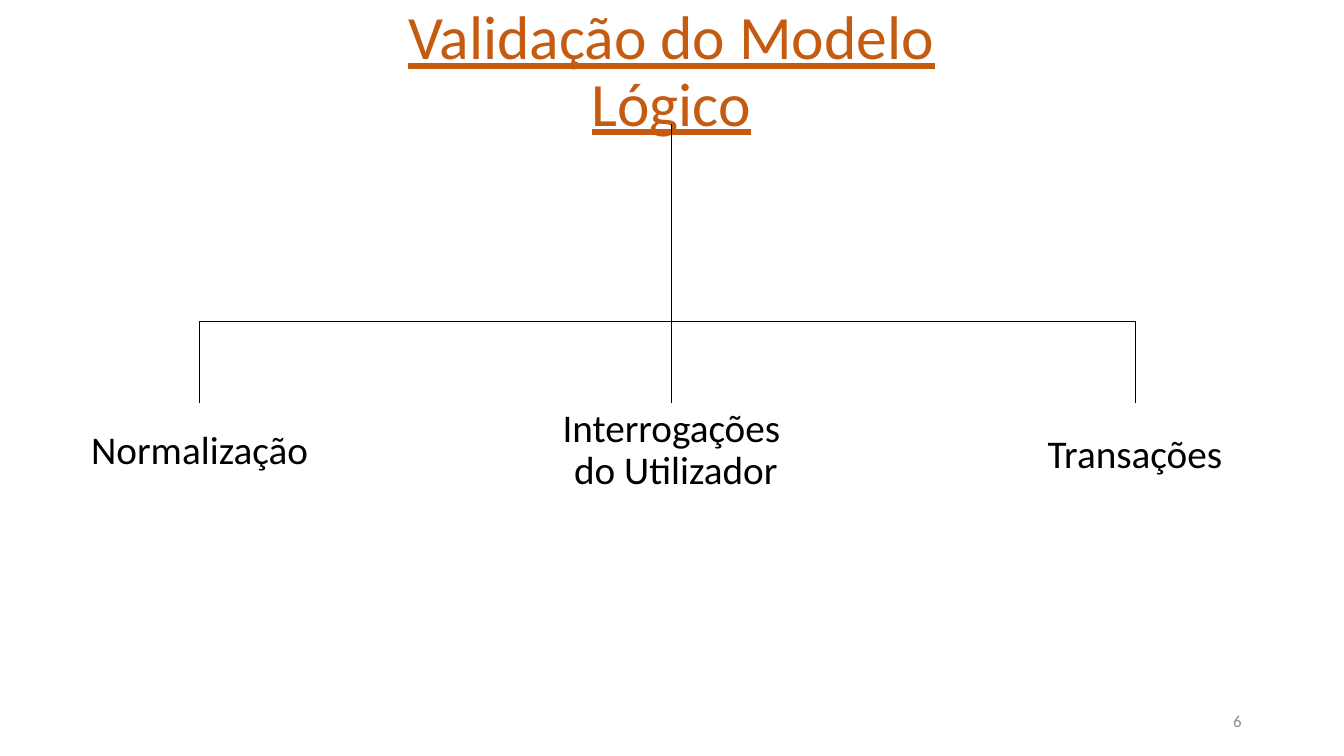
from lxml.etree import SubElement
from pptx import Presentation
from pptx.dml.color import RGBColor
from pptx.enum.shapes import MSO_CONNECTOR
from pptx.enum.text import MSO_ANCHOR, MSO_AUTO_SIZE, PP_ALIGN
from pptx.oxml.ns import qn
from pptx.util import Cm, Pt

ORANGE = RGBColor(0xC5, 0x5A, 0x11)
BLACK = RGBColor(0x00, 0x00, 0x00)
GREY = RGBColor(0x8C, 0x8C, 0x8C)
FONT = "Calibri"

# Label, centre across, top and height of each branch, in cm
BRANCHES = [
    ("Normalização", 5.03, 10.36, 2.03),
    ("Interrogações\n do Utilizador", 16.92, 10.06, 2.59),
    ("Transações", 28.6, 10.46, 2.03),
]
LABEL_WIDTH = 6.7


def write_text(shape, text, size=28, color=BLACK, align=PP_ALIGN.CENTER,
               spacing=0.9, underline=None):
    frame = shape.text_frame
    frame.word_wrap = True
    frame.auto_size = MSO_AUTO_SIZE.NONE
    frame.vertical_anchor = MSO_ANCHOR.MIDDLE
    frame.text = text
    for para in frame.paragraphs:
        para.alignment = align
        para.line_spacing = spacing
        for span in para.runs:
            span.font.name = FONT
            span.font.size = Pt(size)
            span.font.color.rgb = color
            span.font.underline = underline


def add_text(page, box, text, **text_format):
    shape = page.shapes.add_textbox(*(Cm(length) for length in box))
    write_text(shape, text, **text_format)


def add_line(page, start, end):
    line = page.shapes.add_connector(
        MSO_CONNECTOR.STRAIGHT, *(Cm(length) for length in (*start, *end)))
    line.line.color.rgb = BLACK
    line.line.width = Pt(0.5)
    SubElement(line._element.spPr, qn("a:effectLst"))


def add_title(page, box, text):
    title = page.shapes.title
    title.left, title.top, title.width, title.height = (Cm(length) for length in box)
    write_text(title, text, size=44, color=ORANGE, underline=True)


def add_tree(page, box, bar_offset):
    """Draw the trunk, crossbar and drops in the box, with labels below."""
    left, top, width, height = box
    bar = top + bar_offset
    trunk = BRANCHES[1][1]
    add_line(page, (trunk, top), (trunk, bar))
    add_line(page, (left, bar), (left + width, bar))
    for label, centre, label_top, label_height in BRANCHES:
        add_line(page, (centre, bar), (centre, top + height))
        label_box = (centre - LABEL_WIDTH / 2, label_top, LABEL_WIDTH, label_height)
        add_text(page, label_box, label)


def main():
    deck = Presentation()
    deck.slide_width, deck.slide_height = Cm(33.87), Cm(19.05)
    page = deck.slides.add_slide(deck.slide_layouts[5])

    # Title
    add_title(page, (7.92, 0, 18, 3.68), "Validação do Modelo Lógico")

    # Validation tree
    first, last = BRANCHES[0][1], BRANCHES[-1][1]
    add_tree(page, (first, 3.12, last - first, 7.04), bar_offset=4.98)

    # Page number
    add_text(page, (23.92, 17.66, 7.62, 1.01), "6", size=12, color=GREY,
             align=PP_ALIGN.RIGHT, spacing=1)

    deck.save("out.pptx")


if __name__ == "__main__":
    main()
